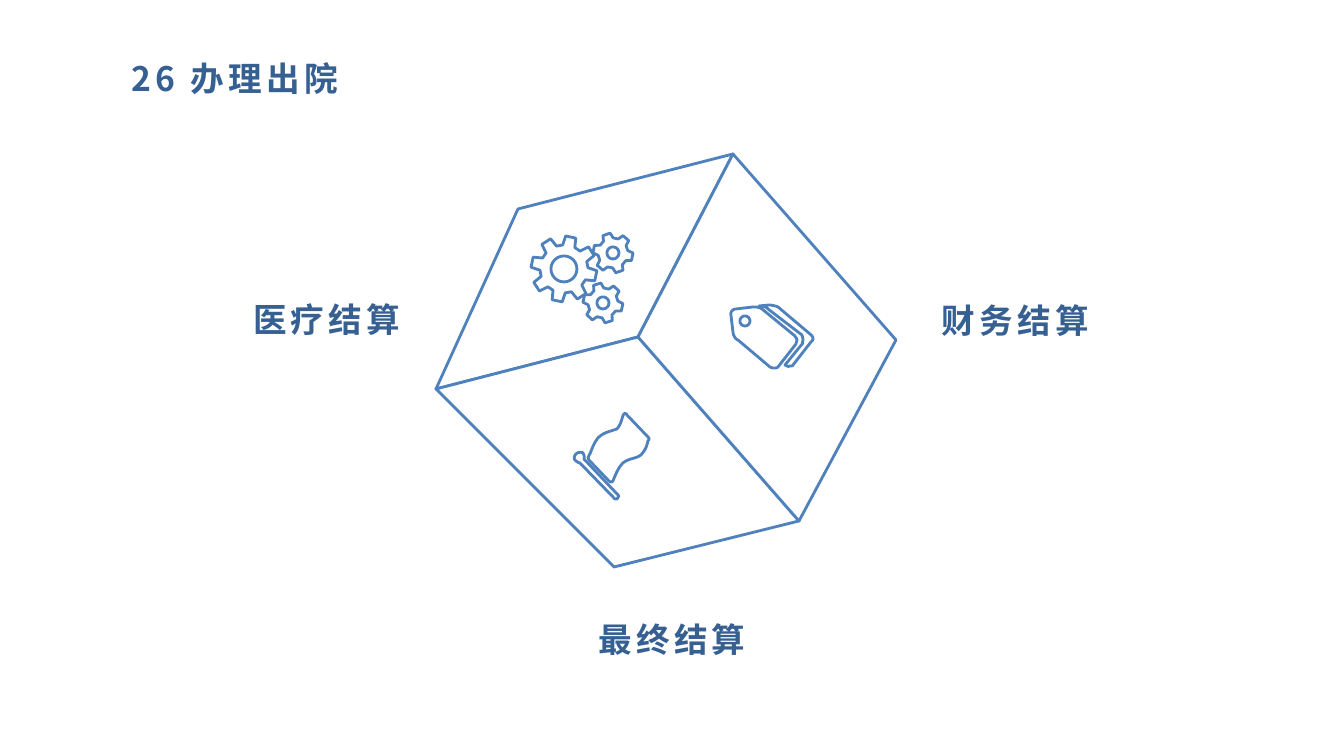
import math

import pptx
import pptx.dml.color
import pptx.enum.text
import pptx.oxml
import pptx.oxml.ns
import pptx.util

PX = 914400 / 100.8
FONT = "Noto Sans CJK SC"
NAVY = pptx.dml.color.RGBColor(0x37, 0x60, 0x92)
BLUE = pptx.dml.color.RGBColor(0x4F, 0x81, 0xBD)
WHITE = pptx.dml.color.RGBColor(0xFF, 0xFF, 0xFF)
ALIGN = pptx.enum.text.PP_ALIGN

TOP, CENTER, LEFT, RIGHT = (297, 0), (202, 183), (0, 235), (460, 186)
UPPER_LEFT, LOWER_RIGHT, BOTTOM = (82, 55), (363, 367), (178, 413)
FACES = [
    [TOP, CENTER, LEFT, UPPER_LEFT],
    [CENTER, LOWER_RIGHT, BOTTOM, LEFT],
    [CENTER, TOP, RIGHT, LOWER_RIGHT],
]

# A pair is a straight segment's end; six numbers are a cubic curve.
POLE = [(14, 49), (49, 86), (47, 89), (45, 89), (10, 53),
        (9, 53, 7, 52, 5, 50), (4, 49, 4, 46, 6, 44),
        (8, 42, 12, 42, 13, 43), (14, 45, 15, 47, 14, 49)]
CLOTH = [(78, 27), (79, 28, 80, 29, 78, 31), (77, 36, 75, 41, 71, 45),
         (66, 49, 59, 48, 53, 53), (48, 58, 46, 64, 43, 71),
         (42, 72), (42, 72, 40, 72, 39, 71), (19, 50),
         (19, 49, 18, 48, 18, 48), (19, 46, 19, 45, 20, 44),
         (22, 39, 24, 33, 28, 28), (33, 23, 38, 22, 44, 20), (47, 19),
         (52, 14, 52, 6, 54, 4), (55, 3, 57, 4, 57, 5)]
FRONT_TAG = [(66, 44), (48, 67), (47, 68, 46, 68, 44, 68),
             (43, 68, 42, 68, 40, 67), (8, 40), (6, 40, 3, 35, 3, 32),
             (1, 15), (0, 12, 3, 9, 6, 9), (23, 7),
             (26, 7, 29, 7, 32, 9), (65, 36), (65, 37, 67, 38, 67, 40),
             (67, 41, 66, 43, 66, 44)]
BACK_TAG = [(81, 42), (63, 65), (63, 66, 61, 66, 60, 66),
            (58, 67, 57, 66, 55, 65), (73, 43), (72, 42, 73, 41, 73, 40),
            (73, 37, 72, 36, 72, 35), (38, 9), (37, 7, 32, 6, 29, 6),
            (39, 5), (41, 5, 46, 6, 48, 7), (80, 34),
            (81, 35, 83, 36, 83, 39), (83, 40, 82, 41, 81, 42)]


def px(n):
    return pptx.util.Emu(round(n * PX))


def polar(center, radius, degrees):
    a = math.radians(degrees)
    return center[0] + radius * math.cos(a), center[1] + radius * math.sin(a)


def circle(center, radius):
    return [polar(center, radius, i * 15) for i in range(24)]


def gear(center, teeth, phase, tip, root, half_tip, half_root):
    corners = [(root, -half_root), (tip, -half_tip), (tip, half_tip), (root, half_root)]
    return [polar(center, r, phase + i * 360 / teeth + a)
            for i in range(teeth) for r, a in corners]


def flatten(path, steps=6):
    points = []
    for seg in path:
        if len(seg) == 2:
            points.append(seg)
            continue
        curve = [points[-1], seg[:2], seg[2:4], seg[4:]]
        for i in range(1, steps + 1):
            t = i / steps
            points.append(tuple(
                sum(math.comb(3, k) * (1 - t) ** (3 - k) * t ** k * curve[k][axis]
                    for k in range(4)) for axis in (0, 1)))
    return points


def add_outline(slide, x, y, paths):
    builder = None
    for path in paths:
        points = [(px(x + a), px(y + b)) for a, b in flatten(path)]
        if builder is None:
            builder = slide.shapes.build_freeform(*points[0])
        else:
            builder.move_to(*points[0])
        builder.add_line_segments(points[1:], close=True)
    sp = builder.convert_to_shape()
    sp.shadow.inherit = False
    sp.fill.solid()
    sp.fill.fore_color.rgb = WHITE
    sp.line.color.rgb = BLUE
    sp.line.width = pptx.util.Pt(2)


def add_cube(slide, x, y):
    for face in FACES:
        add_outline(slide, x, y, [face])


def add_gears(slide, x, y):
    big, upper, lower = (34, 39), (83, 23), (73, 73)
    add_outline(slide, x, y, [
        gear(big, 8, -78, 33, 24, 9, 15), circle(big, 13),
        gear(upper, 6, 11, 20, 15, 11, 20), circle(upper, 6),
        gear(lower, 6, 13, 20, 15, 11, 20), circle(lower, 6)])


def add_flag(slide, x, y):
    add_outline(slide, x, y, [POLE, CLOTH])


def add_tags(slide, x, y):
    add_outline(slide, x, y, [FRONT_TAG, circle((15, 21), 5), BACK_TAG])


def write(sp, text, align):
    tf = sp.text_frame
    tf.word_wrap = True
    tf.vertical_anchor = pptx.enum.text.MSO_ANCHOR.TOP
    p = tf.paragraphs[0]
    p.alignment = align
    r = p.add_run()
    r.text = text
    r.font.size = pptx.util.Pt(24)
    r.font.bold = True
    r.font.color.rgb = NAVY
    r.font.name = FONT
    rpr = r.font._element
    rpr.set("spc", "300")
    ea = pptx.oxml.parse_xml(
        f'<a:ea {pptx.oxml.ns.nsdecls("a")} typeface="{FONT}"/>')
    rpr.find(pptx.oxml.ns.qn("a:latin")).addnext(ea)
    return tf, p


def add_title(slide, x, y, w, h):
    sp = slide.shapes.title
    sp.left, sp.top, sp.width, sp.height = map(px, (x, y, w, h))
    tf, p = write(sp, "26 办理出院", ALIGN.LEFT)
    tf.auto_size = pptx.enum.text.MSO_AUTO_SIZE.NONE
    p.space_before = pptx.util.Pt(0)


def add_label(slide, x, y, text, align):
    sp = slide.shapes.add_textbox(px(x), px(y), px(154), px(48))
    tf, p = write(sp, text, align)
    tf.margin_left = tf.margin_right = tf.margin_top = tf.margin_bottom = 0
    tf.auto_size = pptx.enum.text.MSO_AUTO_SIZE.SHAPE_TO_FIT_TEXT
    p.line_spacing = 1.2


def main():
    prs = pptx.Presentation()
    prs.slide_width, prs.slide_height = px(1344), px(756)
    slide = prs.slides.add_slide(prs.slide_layouts[5])
    add_title(slide, 121, 53, 1029, 58)
    add_cube(slide, 436, 154)
    add_gears(slide, 530, 230)
    add_flag(slide, 570, 410)
    add_tags(slide, 730, 300)
    add_label(slide, 942, 292, "财务结算", ALIGN.LEFT)
    add_label(slide, 246, 291, "医疗结算", ALIGN.RIGHT)
    add_label(slide, 595, 611, "最终结算", ALIGN.CENTER)
    prs.save("out.pptx")


if __name__ == "__main__":
    main()
